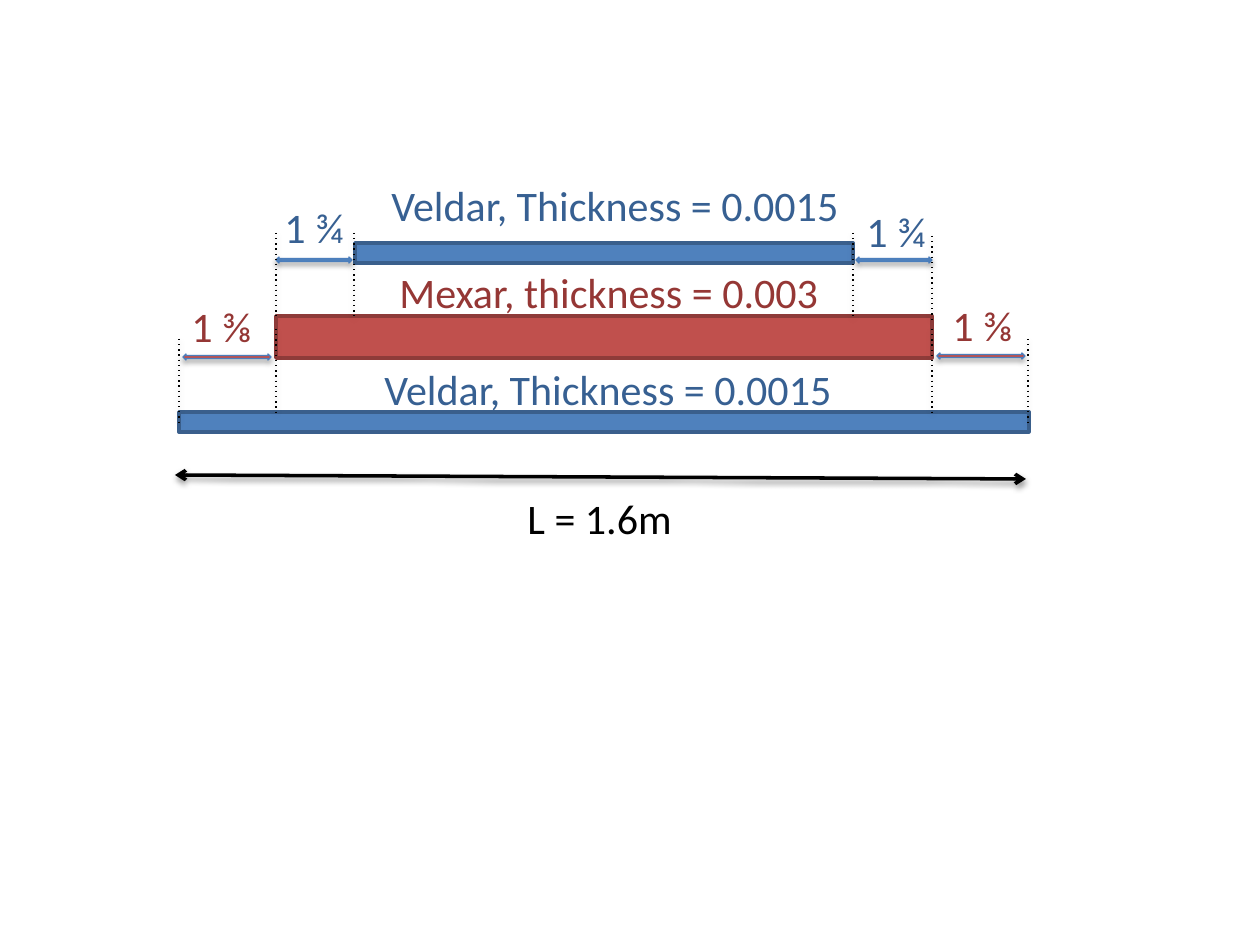
from typing import NamedTuple

from lxml.etree import SubElement
from pptx import Presentation
from pptx.dml.color import RGBColor
from pptx.enum.shapes import MSO_CONNECTOR as Connector, MSO_SHAPE as Shape
from pptx.enum.text import MSO_AUTO_SIZE as AutoSize, PP_ALIGN as Align
from pptx.oxml.ns import qn
from pptx.util import Emu, Pt

PX = 914400 // 126
CENTRE = 604
GUIDE_LENGTH = 83
BLUE, RED, BLACK = "4F81BD", "C0504D", "000000"
BLUE_TEXT, RED_TEXT = "376092", "953735"


class Layer(NamedTuple):
    top: int
    width: int
    height: int
    fill: str
    edge: str


class Label(NamedTuple):
    text: str
    left: int
    top: int
    width: int
    color: str


class Overlap(NamedTuple):
    left: int
    top: int
    width: int
    fill: str


class Guide(NamedTuple):
    x: int
    top: int


LAYERS = [
    Layer(412, 850, 20, BLUE, "3A5F8C"),
    Layer(243, 498, 20, BLUE, "3A5F8C"),
    Layer(316, 656, 42, RED, "8E3B39"),
]
LABELS = [
    Label("Veldar, Thickness = 0.0015", 379, 173, 490, BLUE_TEXT),
    Label("Veldar, Thickness = 0.0015", 372, 357, 490, BLUE_TEXT),
    Label("Mexar, thickness = 0.003", 387, 260, 460, RED_TEXT),
    Label("1 ⅜", 179, 294, 90, RED_TEXT),
    Label("1 ⅜", 940, 293, 90, RED_TEXT),
    Label("1 ¾", 854, 199, 90, BLUE_TEXT),
    Label("1 ¾", 272, 195, 90, BLUE_TEXT),
    Label("L = 1.6m", 515, 486, 180, BLACK),
]
OVERLAPS = [
    Overlap(937, 353, 88, RED),
    Overlap(183, 354, 88, RED),
    Overlap(856, 257, 76, BLUE),
    Overlap(276, 257, 76, BLUE),
]
GUIDES = [
    Guide(179, 339), Guide(276, 329), Guide(932, 329), Guide(1028, 339),
    Guide(276, 233), Guide(354, 233), Guide(853, 233), Guide(932, 236),
]


def px(*lengths: int) -> list[Emu]:
    return [Emu(length * PX) for length in lengths]


def rgb(color: str) -> RGBColor:
    return RGBColor.from_string(color)


def style_line(part, color: str, width: float) -> None:
    part.line.color.rgb = rgb(color)
    part.line.width = Pt(width)


def add_shadow(part, distance: float = 1.8, alpha: int = 35) -> None:
    effects = SubElement(part._element.spPr, qn("a:effectLst"))
    shadow = SubElement(effects, qn("a:outerShdw"), blurRad=str(Pt(3.1)),
                        dist=str(Pt(distance)), dir="5400000", rotWithShape="0")
    color = SubElement(shadow, qn("a:srgbClr"), val=BLACK)
    SubElement(color, qn("a:alpha"), val=str(alpha * 1000))


def draw_layer(slide, layer: Layer) -> None:
    left = CENTRE - layer.width // 2
    bar = slide.shapes.add_shape(
        Shape.RECTANGLE, *px(left, layer.top, layer.width, layer.height))
    bar.fill.solid()
    bar.fill.fore_color.rgb = rgb(layer.fill)
    style_line(bar, layer.edge, 2)
    bar.shadow.inherit = False


def draw_label(slide, label: Label) -> None:
    box = slide.shapes.add_textbox(*px(label.left, label.top, label.width, 64))
    frame = box.text_frame
    # Fixed boxes, wide enough for one line each
    frame.word_wrap = True
    frame.auto_size = AutoSize.NONE
    paragraph = frame.paragraphs[0]
    paragraph.alignment = Align.LEFT
    run = paragraph.add_run()
    run.text = label.text
    for name, value in {"name": "Calibri", "size": Pt(24)}.items():
        setattr(run.font, name, value)
    run.font.color.rgb = rgb(label.color)


def draw_overlap(slide, overlap: Overlap) -> None:
    arrow = slide.shapes.add_shape(
        Shape.LEFT_RIGHT_ARROW, *px(overlap.left, overlap.top, overlap.width, 6))
    arrow.fill.solid()
    arrow.fill.fore_color.rgb = rgb(overlap.fill)
    style_line(arrow, "4B7EBC", 0.75)
    add_shadow(arrow)


def draw_guide(slide, guide: Guide) -> None:
    line = slide.shapes.add_connector(
        Connector.STRAIGHT, *px(guide.x, guide.top, guide.x, guide.top + GUIDE_LENGTH))
    style_line(line, BLACK, 0.75)
    SubElement(line.line._get_or_add_ln(), qn("a:prstDash"), val="dot")
    add_shadow(line)


def draw_length(slide) -> None:
    arrow = slide.shapes.add_connector(Connector.STRAIGHT, *px(175, 475, 1026, 479))
    style_line(arrow, BLACK, 2)
    for end in ("a:headEnd", "a:tailEnd"):
        SubElement(arrow.line._get_or_add_ln(), qn(end), type="arrow")
    add_shadow(arrow, 1.6, 38)


prs = Presentation()
prs.slide_width, prs.slide_height = px(1260, 945)
slide = prs.slides.add_slide(prs.slide_layouts[6])

# Film layers and their labels
for layer in LAYERS:
    draw_layer(slide, layer)
for label in LABELS:
    draw_label(slide, label)

# Overlap widths and guides
for overlap in OVERLAPS:
    draw_overlap(slide, overlap)
for guide in GUIDES:
    draw_guide(slide, guide)

# Overall length
draw_length(slide)

prs.save("out.pptx")
